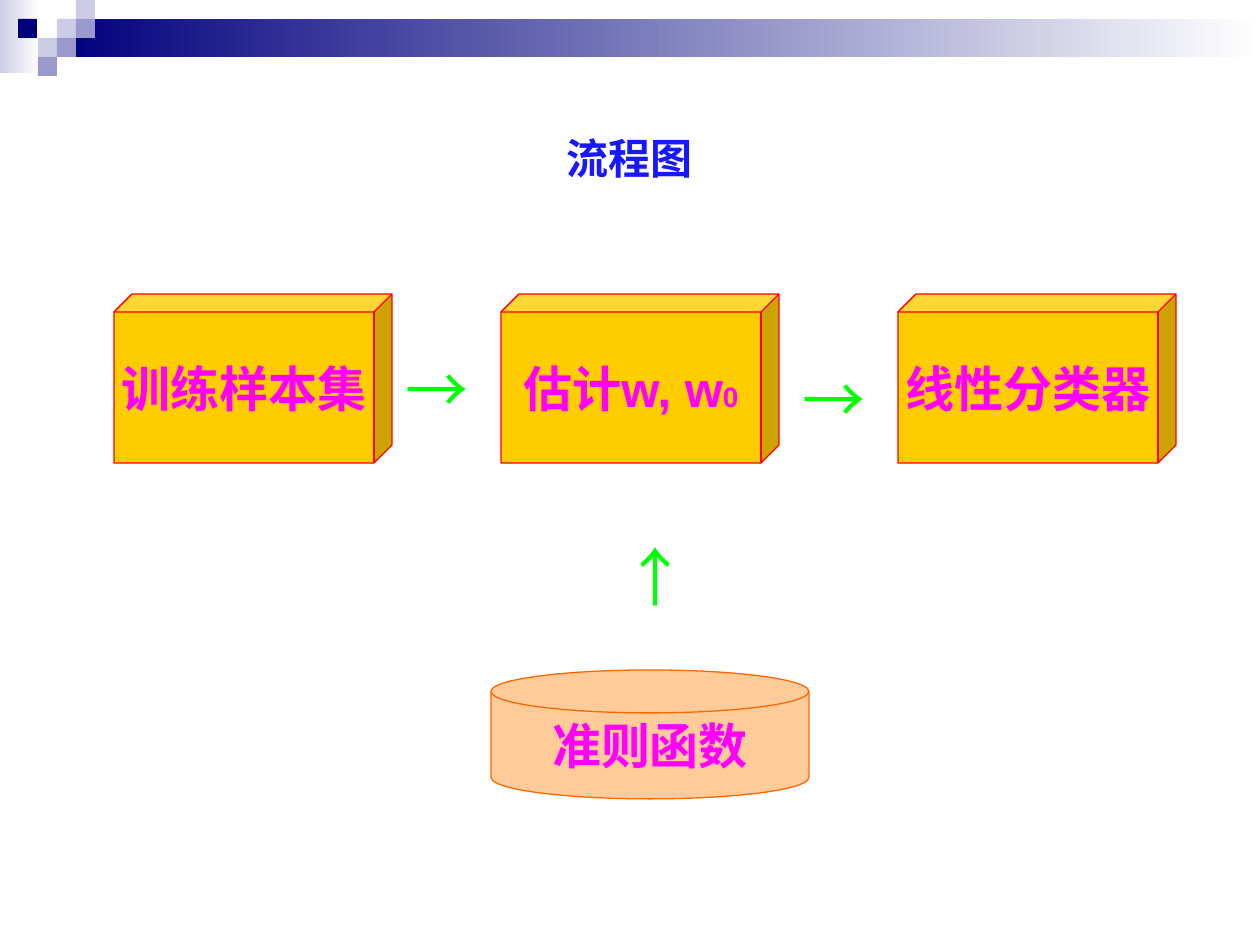
from pptx import Presentation
from pptx.dml.color import RGBColor
from pptx.enum.shapes import MSO_SHAPE
from pptx.enum.text import MSO_ANCHOR, PP_ALIGN
from pptx.oxml.ns import qn
from pptx.util import Emu, Pt

NAVY = RGBColor(0x00, 0x00, 0x7D)
LILAC = RGBColor(0xCC, 0xCC, 0xE6)
VIOLET = RGBColor(0x99, 0x99, 0xCC)
WHITE = RGBColor(0xFF, 0xFF, 0xFF)
BLUE = RGBColor(0x18, 0x18, 0xFF)
GOLD = RGBColor(0xFF, 0xCC, 0x00)
RED = RGBColor(0xFF, 0x00, 0x00)
PEACH = RGBColor(0xFF, 0xCC, 0x99)
ORANGE = RGBColor(0xFF, 0x66, 0x00)
MAGENTA = RGBColor(0xFF, 0x00, 0xFF)
GREEN = RGBColor(0x00, 0xFF, 0x00)

LATIN, CJK = "Arial", "Noto Sans CJK SC"

# Content: text as (run, size) pairs; boxes as left, top, width, height in px
TITLE = [("流程图", 24)]
STEPS = [
    (114, [("训练样本集", 28)]),
    (501, [("估计w, w", 28), ("0", 16)]),
    (898, [("线性分类器", 28)]),
]
STEP_TOP, STEP_W, STEP_H = 294, 278, 169
CRITERION = [("准则函数", 28)]
ARROWS = [  # box, rotation
    ((382, 344, 110, 89), 0),
    ((779, 354, 110, 89), 0),
    ((551, 532, 208, 89), 270),
]
GRADIENTS = [((0, 0, 39, 73), LILAC), ((57, 19, 1203, 38), NAVY)]
CELL = 19
MOSAIC = [  # left, row, colour
    (57, 1, LILAC), (76, 0, LILAC), (76, 1, VIOLET), (38, 2, LILAC),
    (18, 1, NAVY), (57, 2, VIOLET), (38, 3, VIOLET),
]


def px(n):
    return Emu(round(n * 914400 / 126))


def add_shape(kind, box, fill=None, line=None):
    sp = slide.shapes.add_shape(kind, *map(px, box))
    sp.shadow.inherit = False
    if fill is not None:
        sp.fill.solid()
        sp.fill.fore_color.rgb = fill
    if line is None:
        sp.line.fill.background()
    else:
        sp.line.color.rgb = line
        sp.line.width = Pt(0.75)
    return sp


def set_text(sp, runs, color, font=LATIN, bold=True, wrap=False,
             anchor=MSO_ANCHOR.MIDDLE):
    tf = sp.text_frame
    tf.word_wrap = wrap
    tf.vertical_anchor = anchor
    p = tf.paragraphs[0]
    p.alignment = PP_ALIGN.CENTER
    for text, size in runs:
        r = p.add_run()
        r.text = text
        r.font.size = Pt(size)
        r.font.bold = bold
        r.font.name = font
        r.font.color.rgb = color
        ea = r.font._element.makeelement(qn("a:ea"), {"typeface": CJK})
        r.font._element.find(qn("a:latin")).addnext(ea)


prs = Presentation()
prs.slide_width, prs.slide_height = px(1260), px(945)
slide = prs.slides.add_slide(prs.slide_layouts[6])

# Header band and mosaic
for box, color in GRADIENTS:
    fill = add_shape(MSO_SHAPE.RECTANGLE, box).fill
    fill.gradient()
    fill.gradient_angle = 0
    for stop, rgb in zip(fill.gradient_stops, (color, WHITE)):
        stop.color.rgb = rgb
for left, row, color in MOSAIC:
    add_shape(MSO_SHAPE.RECTANGLE, (left, row * CELL, CELL, CELL), color)

# Title
title = slide.shapes.add_textbox(*map(px, (63, 63, 1134, 189)))
set_text(title, TITLE, BLUE, wrap=True)

# Process steps
for left, runs in STEPS:
    cube = add_shape(MSO_SHAPE.CUBE, (left, STEP_TOP, STEP_W, STEP_H), GOLD, RED)
    cube.adjustments[0] = 0.106
    set_text(cube, runs, MAGENTA)

# Criterion function
disk = add_shape(MSO_SHAPE.FLOWCHART_MAGNETIC_DISK, (491, 670, 318, 129),
                 PEACH, ORANGE)
set_text(disk, CRITERION, MAGENTA)

# Arrow characters between the parts
for box, rotation in ARROWS:
    arrow = slide.shapes.add_textbox(*map(px, box))
    arrow.rotation = rotation
    set_text(arrow, [("→", 36)], GREEN, font=CJK, bold=False,
             anchor=MSO_ANCHOR.TOP)

prs.save("out.pptx")
